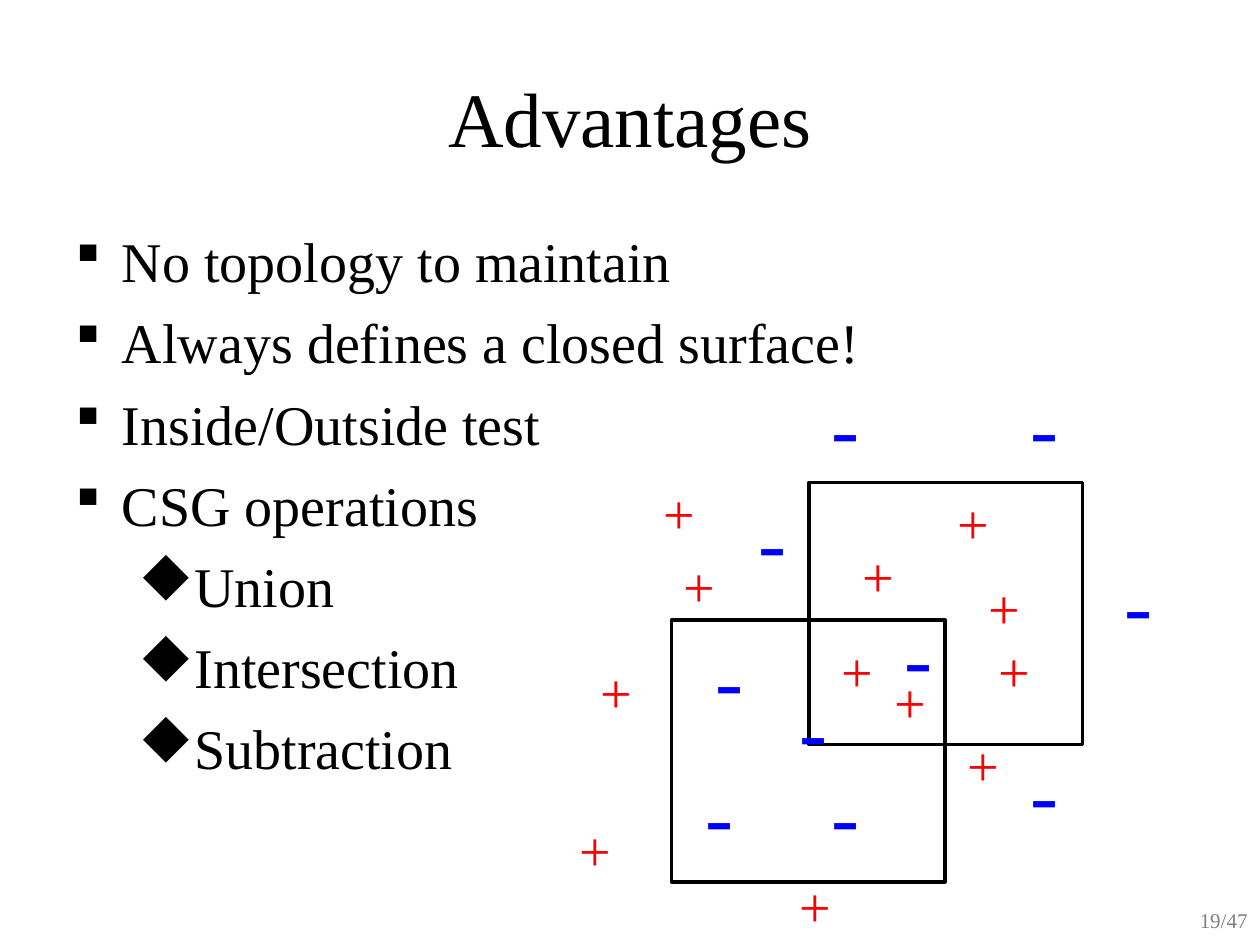
from dataclasses import dataclass

from lxml import etree
from pptx import Presentation
from pptx import util as u
from pptx.dml.color import RGBColor
from pptx.enum import shapes, text
from pptx.oxml import ns


@dataclass(frozen=True)
class Theme:
    font: str = "Times New Roman"
    bullet_font: str = "Wingdings"
    ink: str = "000000"
    page_grey: str = "808080"
    plus_red: str = "FF0000"
    minus_blue: str = "0000FF"
    title_size: int = 44
    body_size: int = 32
    minus_size: int = 48
    page_size: int = 12
    outline: int = 2


@dataclass(frozen=True)
class Box:
    left: float
    top: float
    width: float
    height: float

    def emu(self) -> tuple:
        return tuple(u.Inches(v) for v in (self.left, self.top, self.width, self.height))


@dataclass(frozen=True)
class Level:
    bullet: str
    margin: float
    hang: float


@dataclass(frozen=True)
class Sign:
    glyph: str
    size: int
    color: str
    height: float
    places: tuple


THEME = Theme()
# In the symbol font, § is a small square and u a diamond
POINT = Level("§", 0.37, 0.37)
SUBPOINT = Level("u", 0.81, 0.31)

ADVANTAGES = (
    ("No topology to maintain", POINT),
    ("Always defines a closed surface!", POINT),
    ("Inside/Outside test", POINT),
    ("CSG operations", POINT),
    ("Union", SUBPOINT),
    ("Intersection", SUBPOINT),
    ("Subtraction", SUBPOINT),
)

SOLIDS = (Box(5.33, 4.92, 2.17, 2.08), Box(6.42, 3.83, 2.17, 2.08))

# Left and top of each sign around the two solids
SIGNS = (
    Sign("+", THEME.body_size, THEME.plus_red, 0.64, (
        (5.33, 4.33), (4.67, 5.17), (4.5, 6.42), (6.25, 6.87), (7.58, 5.75), (6.75, 4.25),
        (6.58, 5), (5.17, 3.75), (7.5, 3.83), (7, 5.25), (7.83, 5), (7.75, 4.5))),
    Sign("-", THEME.minus_size, THEME.minus_blue, 0.9, (
        (5.5, 6), (5.58, 4.92), (6.5, 6), (6.25, 5.33), (7.08, 4.75),
        (5.92, 3.83), (6.5, 2.92), (8.08, 5.83), (8.08, 2.92), (8.83, 4.33))),
)


def add_frame(slide, box: Box, **settings):
    frame = slide.shapes.add_textbox(*box.emu()).text_frame
    for name, value in {"word_wrap": True, **settings}.items():
        setattr(frame, name, value)
    return frame


def write(paragraph, words: str, size: int, color: str, align=text.PP_ALIGN.LEFT) -> None:
    paragraph.alignment = align
    run = paragraph.add_run()
    run.text = words
    for name, value in {"name": THEME.font, "size": u.Pt(size)}.items():
        setattr(run.font, name, value)
    run.font.color.rgb = RGBColor.from_string(color)


def add_bullet(paragraph, level: Level) -> None:
    props = paragraph._p.get_or_add_pPr()
    props.set("marL", str(u.Inches(level.margin)))
    props.set("indent", str(-u.Inches(level.hang)))
    color = etree.SubElement(props, ns.qn("a:buClr"))
    etree.SubElement(color, ns.qn("a:srgbClr"), val=THEME.ink)
    etree.SubElement(props, ns.qn("a:buFont"), typeface=THEME.bullet_font,
                     pitchFamily="2", charset="2")
    etree.SubElement(props, ns.qn("a:buChar"), char=level.bullet)


def add_advantages(slide, box: Box) -> None:
    frame = add_frame(slide, box)
    for index, (words, level) in enumerate(ADVANTAGES):
        paragraph = frame.add_paragraph() if index else frame.paragraphs[0]
        paragraph.level = 1 if level is SUBPOINT else 0
        add_bullet(paragraph, level)
        if index:
            paragraph.space_before = u.Pt(8)
        write(paragraph, words, THEME.body_size, THEME.ink)


def add_solid(slide, box: Box) -> None:
    solid = slide.shapes.add_shape(shapes.MSO_SHAPE.RECTANGLE, *box.emu())
    solid.shadow.inherit = False
    solid.fill.background()
    solid.line.color.rgb = RGBColor.from_string(THEME.ink)
    solid.line.width = u.Pt(THEME.outline)


def add_signs(slide, sign: Sign) -> None:
    for left, top in sign.places:
        frame = add_frame(slide, Box(left, top, 0.5, sign.height),
                          auto_size=text.MSO_AUTO_SIZE.SHAPE_TO_FIT_TEXT)
        write(frame.paragraphs[0], sign.glyph, sign.size, sign.color)


def main() -> None:
    deck = Presentation()
    deck.slide_width, deck.slide_height = u.Inches(10), u.Inches(7.5)
    slide = deck.slides.add_slide(deck.slide_layouts[6])

    # Page number and title
    page = add_frame(slide, Box(7.67, 7.15, 2.33, 0.52))
    write(page.paragraphs[0], "19/47", THEME.page_size, THEME.page_grey, text.PP_ALIGN.RIGHT)
    title = add_frame(slide, Box(0.5, 0.3, 9, 1.25), vertical_anchor=text.MSO_ANCHOR.MIDDLE)
    write(title.paragraphs[0], "Advantages", THEME.title_size, THEME.ink, text.PP_ALIGN.CENTER)

    # Bulleted advantages
    add_advantages(slide, Box(0.5, 1.75, 9, 4.95))

    # Overlapping solids with their inside and outside signs
    for solid in SOLIDS:
        add_solid(slide, solid)
    for sign in SIGNS:
        add_signs(slide, sign)

    deck.save("out.pptx")


if __name__ == "__main__":
    main()
